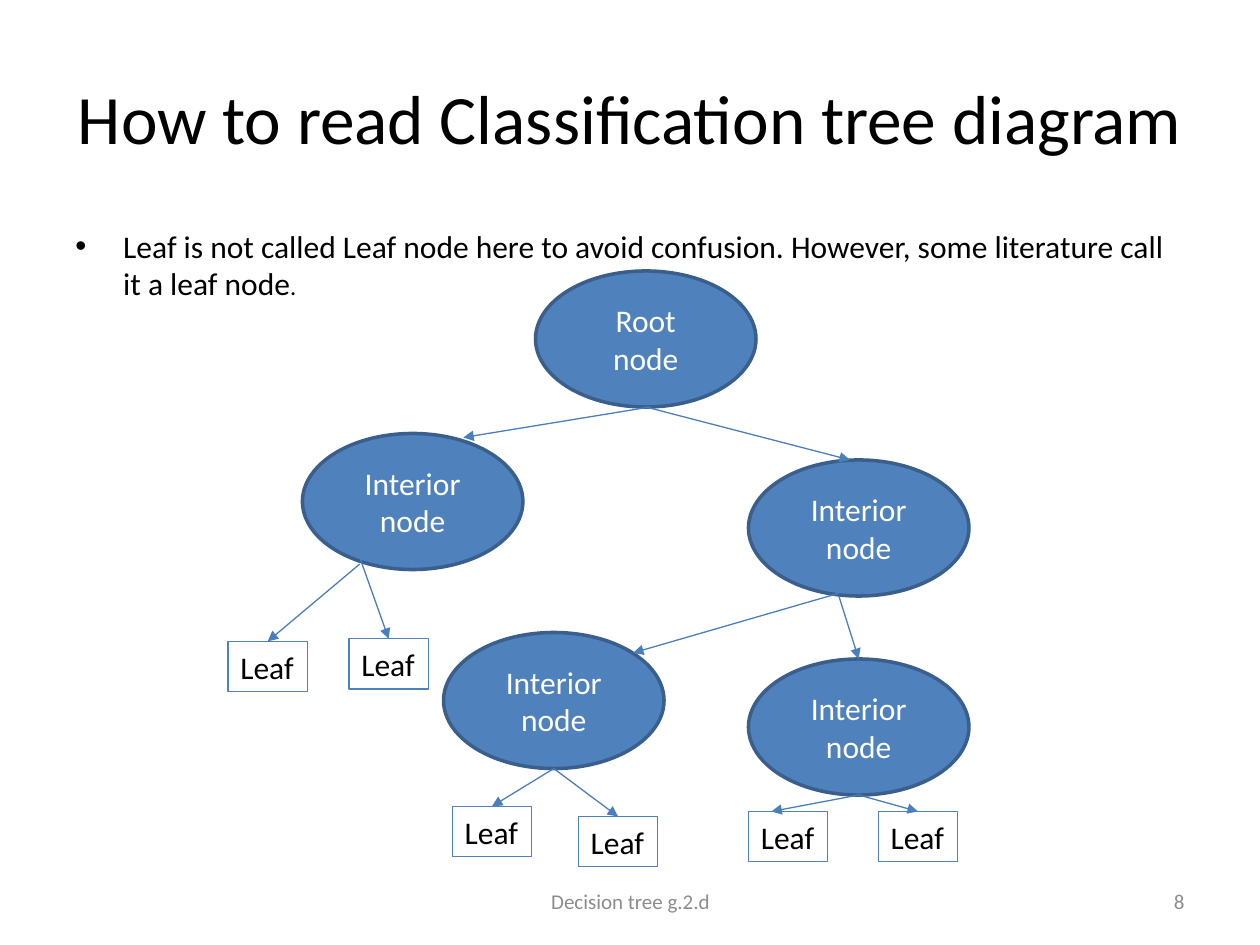
import dataclasses

import pptx
import pptx.dml.color
import pptx.enum.shapes
import pptx.enum.text
import pptx.oxml
import pptx.oxml.ns
import pptx.util

ALIGN = pptx.enum.text.PP_ALIGN
ANCHOR = pptx.enum.text.MSO_ANCHOR


@dataclasses.dataclass(frozen=True)
class Theme:
    font: str = "Calibri"
    ink: str = "000000"
    muted: str = "8C8C8C"
    paper: str = "FFFFFF"
    node_fill: str = "4F81BD"
    node_edge: str = "3A5F8C"
    arrow: str = "4B7EBC"
    title: float = 39.6
    text: float = 18
    full_stop: float = 14
    footer: float = 12
    thick: float = 2
    thin: float = 0.75


THEME = Theme()
WIDTH = pptx.util.Inches(10)
HEIGHT = pptx.util.Inches(7.5)

# Places and sizes are percentages of the slide's width and height.
NODE_SIZE = (17.5, 14.4)
LEAF_SIZE = (6.3, 5.33)
NODES = {
    "root": (42.5, 28.67, "Root node"),
    "left": (24, 45.87, "Interior node"),
    "right": (59.4, 48.67, "Interior node"),
    "middle": (35.2, 66.93, "Interior node"),
    "lower right": (59.4, 69.73, "Interior node"),
}
LEAVES = {
    "left leaf 1": (18.1, 67.87),
    "left leaf 2": (27.7, 67.6),
    "middle leaf 1": (35.9, 85.33),
    "middle leaf 2": (45.9, 86.4),
    "right leaf 1": (59.4, 85.87),
    "right leaf 2": (69.7, 85.87),
}

# Parent, child, then where the arrow leaves and meets them, as shares of each.
BOTTOM, TOP = (0.5, 1), (0.5, 0)
BRANCHES = [
    ("root", "left", (0.52, 1), (0.73, 0.03)),
    ("root", "right", BOTTOM, (0.46, 0)),
    ("left", "left leaf 1", (0.26, 0.96), TOP),
    ("left", "left leaf 2", (0.26, 0.91), TOP),
    ("right", "middle", (0.41, 0.98), (0.86, 0.15)),
    ("right", "lower right", (0.41, 1), TOP),
    ("middle", "middle leaf 1", BOTTOM, TOP),
    ("middle", "middle leaf 2", BOTTOM, TOP),
    ("lower right", "right leaf 1", BOTTOM, (0.29, 0)),
    ("lower right", "right leaf 2", BOTTOM, TOP),
]


def area(left, top, width, height):
    return (round(WIDTH * left / 100), round(HEIGHT * top / 100),
            round(WIDTH * width / 100), round(HEIGHT * height / 100))


def rgb(color):
    return pptx.dml.color.RGBColor.from_string(color)


def draw_line(line, color, width):
    line.color.rgb = rgb(color)
    line.width = pptx.util.Pt(width)


def add_span(para, text, size=THEME.text, color=THEME.ink):
    span = para.add_run()
    span.text = text
    span.font.name = THEME.font
    span.font.size = pptx.util.Pt(size)
    span.font.color.rgb = rgb(color)


def write(box, text, align=ALIGN.LEFT, anchor=ANCHOR.TOP, wrap=True, **span_format):
    frame = box.text_frame
    frame.word_wrap = wrap
    frame.vertical_anchor = anchor
    para = frame.paragraphs[0]
    para.alignment = align
    add_span(para, text, **span_format)
    return para


def add_text(page, place, text, **text_format):
    box = page.shapes.add_textbox(*area(*place))
    return write(box, text, **text_format)


def add_bullet(para, indent):
    properties = para._p.get_or_add_pPr()
    properties.set("marL", str(indent))
    properties.set("indent", str(-indent))
    for tag, name, value in (("a:buFont", "typeface", "Arial"), ("a:buChar", "char", "•")):
        bullet = pptx.oxml.ns.qn(tag)
        properties.append(properties.makeelement(bullet, {name: value}))


def add_node(page, left, top, text):
    oval = pptx.enum.shapes.MSO_SHAPE.OVAL
    node = page.shapes.add_shape(oval, *area(left, top, *NODE_SIZE))
    node.shadow.inherit = False
    node.fill.solid()
    node.fill.fore_color.rgb = rgb(THEME.node_fill)
    draw_line(node.line, THEME.node_edge, THEME.thick)
    write(node, text, align=ALIGN.CENTER, anchor=ANCHOR.MIDDLE, color=THEME.paper)
    return node


def add_leaf(page, left, top):
    leaf = page.shapes.add_textbox(*area(left, top, *LEAF_SIZE))
    draw_line(leaf.line, THEME.node_fill, THEME.thin)
    write(leaf, "Leaf", wrap=False)
    leaf.text_frame.auto_size = pptx.enum.text.MSO_AUTO_SIZE.SHAPE_TO_FIT_TEXT
    return leaf


def point_on(shape, share):
    across, down = share
    return (round(shape.left + shape.width * across),
            round(shape.top + shape.height * down))


def add_arrow(page, parent, child, leave, meet):
    straight = pptx.enum.shapes.MSO_CONNECTOR.STRAIGHT
    arrow = page.shapes.add_connector(
        straight, *point_on(parent, leave), *point_on(child, meet))
    draw_line(arrow.line, THEME.arrow, THEME.thin)
    qn = pptx.oxml.ns.qn
    outline = arrow.line._get_or_add_ln()
    outline.append(outline.makeelement(qn("a:tailEnd"), {"type": "triangle"}))
    properties = arrow._element.spPr
    properties.append(properties.makeelement(qn("a:effectLst"), {}))


def add_tree(page):
    shapes = {name: add_node(page, *node) for name, node in NODES.items()}
    shapes.update((name, add_leaf(page, *place)) for name, place in LEAVES.items())
    for parent, child, leave, meet in BRANCHES:
        add_arrow(page, shapes[parent], shapes[child], leave, meet)


def main():
    deck = pptx.Presentation()
    deck.slide_width, deck.slide_height = WIDTH, HEIGHT
    page = deck.slides.add_slide(deck.slide_layouts[6])

    add_text(page, (5, 4, 90, 16.67), "How to read Classification tree diagram",
             align=ALIGN.CENTER, anchor=ANCHOR.MIDDLE, size=THEME.title)
    para = add_text(page, (5, 23.33, 90, 66),
                    "Leaf is not called Leaf node here to avoid confusion. "
                    "However, some literature call it a leaf node")
    add_bullet(para, pptx.util.Inches(0.38))
    add_span(para, ".", size=THEME.full_stop)

    footer = {"anchor": ANCHOR.MIDDLE, "size": THEME.footer, "color": THEME.muted}
    add_text(page, (34.2, 92.67, 31.7, 5.33), "Decision tree g.2.d",
             align=ALIGN.CENTER, **footer)
    add_text(page, (71.7, 92.67, 23.3, 5.33), "8", align=ALIGN.RIGHT, **footer)

    add_tree(page)
    deck.save("out.pptx")


if __name__ == "__main__":
    main()
